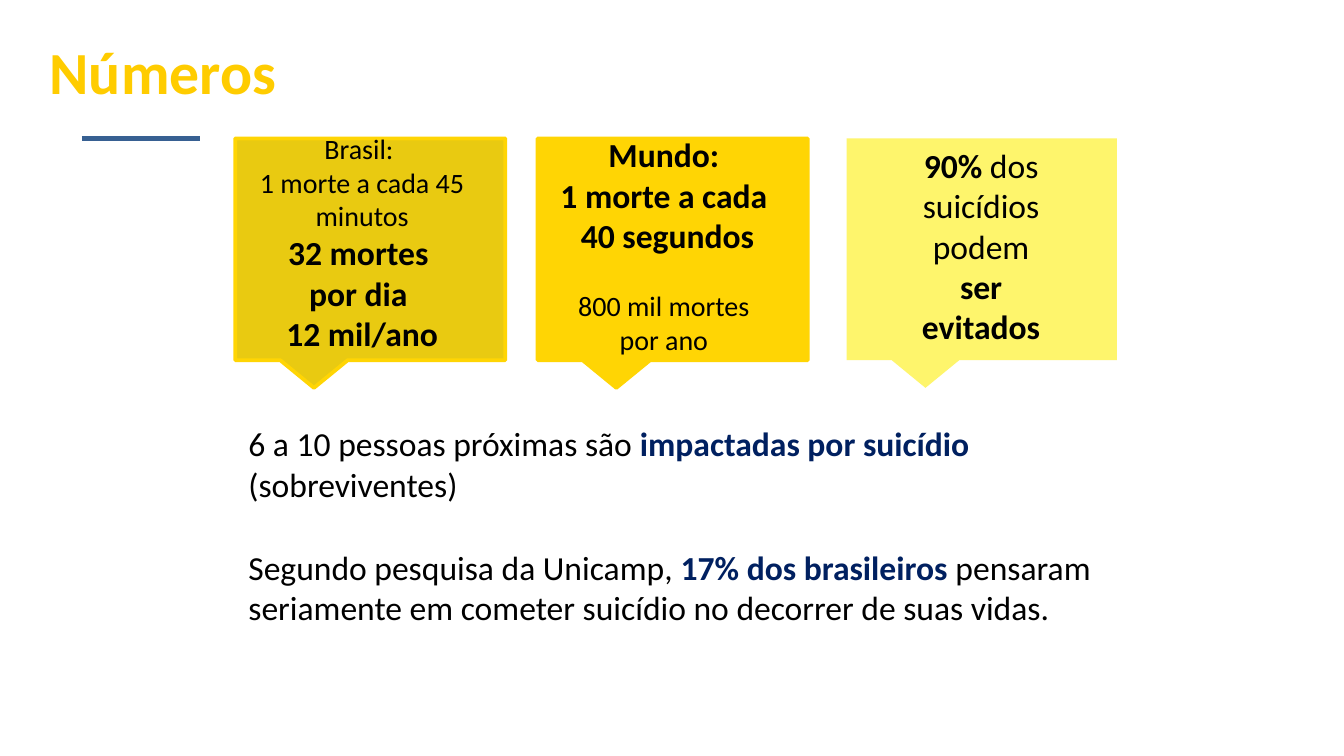
from dataclasses import dataclass
from typing import Optional

from lxml import etree
from pptx import Presentation
from pptx.dml.color import RGBColor
from pptx.enum.shapes import MSO_CONNECTOR, MSO_SHAPE
from pptx.enum.text import MSO_AUTO_SIZE, PP_ALIGN
from pptx.oxml.ns import qn
from pptx.util import Inches, Pt

CALLOUT = MSO_SHAPE.RECTANGULAR_CALLOUT
STRAIGHT = MSO_CONNECTOR.STRAIGHT
FIT_SHAPE = MSO_AUTO_SIZE.SHAPE_TO_FIT_TEXT
CENTER, LEFT = PP_ALIGN.CENTER, PP_ALIGN.LEFT

BLACK, NAVY, BLUE = "000000", "002060", "376092"
GOLD, TITLE_GOLD = "FFD504", "FFCC00"
PAGE_WIDTH = 10
PAGE_HEIGHT = PAGE_WIDTH * 9 / 16
CALLOUT_TOP, CALLOUT_WIDTH, CALLOUT_HEIGHT = 1.03, 2.01, 1.65


@dataclass
class Span:
    text: str
    size: float = 18
    bold: bool = False
    color: str = BLACK


@dataclass
class Para:
    spans: list[Span]
    space_before: float = 0


@dataclass
class TextBlock:
    left: float
    top: float
    width: float
    height: float
    paras: list[Para]
    align: PP_ALIGN = CENTER
    margins: tuple[float, float, float, float] = (0.1, 0.05, 0.1, 0.05)


@dataclass
class Callout:
    left: float
    fill: str
    outline: Optional[str] = None


def rgb(value: str) -> RGBColor:
    return RGBColor.from_string(value)


def line(text: str, size: float = 18, bold: bool = False, space_before: float = 0) -> Para:
    """Return a paragraph with a single span."""
    return Para([Span(text, size, bold)], space_before)


def draw_callout(page, callout: Callout) -> None:
    shape = page.shapes.add_shape(
        CALLOUT, Inches(callout.left), Inches(CALLOUT_TOP),
        Inches(CALLOUT_WIDTH), Inches(CALLOUT_HEIGHT))
    shape.shadow.inherit = False
    shape.fill.solid()
    shape.fill.fore_color.rgb = rgb(callout.fill)
    if callout.outline:
        shape.line.color.rgb = rgb(callout.outline)
        shape.line.width = Pt(2)
    else:
        shape.line.fill.background()


def draw_text(page, block: TextBlock) -> None:
    box = page.shapes.add_textbox(
        Inches(block.left), Inches(block.top), Inches(block.width), Inches(block.height))
    frame = box.text_frame
    left, top, right, bottom = map(Inches, block.margins)
    frame_format = {
        "word_wrap": True, "auto_size": FIT_SHAPE, "margin_left": left,
        "margin_top": top, "margin_right": right, "margin_bottom": bottom,
    }
    for name, value in frame_format.items():
        setattr(frame, name, value)
    for index, para in enumerate(block.paras):
        paragraph = frame.add_paragraph() if index else frame.paragraphs[0]
        paragraph.alignment = block.align
        paragraph.space_before = Pt(para.space_before)
        for span in para.spans:
            run = paragraph.add_run()
            run.text = span.text
            font_format = {"name": "Calibri", "size": Pt(span.size), "bold": span.bold}
            for name, value in font_format.items():
                setattr(run.font, name, value)
            run.font.color.rgb = rgb(span.color)


def draw_rule(page, left: float, right: float, top: float) -> None:
    rule = page.shapes.add_connector(
        STRAIGHT, Inches(left), Inches(top), Inches(right), Inches(top))
    rule.line.color.rgb = rgb(BLUE)
    rule.line.width = Pt(2.81)
    etree.SubElement(rule._element.spPr, qn("a:effectLst"))


CALLOUTS = [
    Callout(1.75, "E9CA11", GOLD),
    Callout(4, GOLD, GOLD),
    Callout(6.3, "FEF56C"),
]

TEXTS = [
    TextBlock(1.63, 0.93, 2.13, 1.77, [
        line("Brasil: ", 15),
        line("1 morte a cada 45 minutos", 15),
        line("32 mortes ", bold=True),
        line("por dia ", bold=True),
        line("12 mil/ano", bold=True),
    ]),
    TextBlock(6.66, 1.03, 1.28, 1.62, [Para([
        Span("90% ", bold=True),
        Span("dos suicídios podem "),
        Span("ser evitados", bold=True),
    ])]),
    TextBlock(1.75, 3.1, 6.56, 0.71, [Para([
        Span("6 a 10 pessoas próximas são "),
        Span("impactadas por suicídio ", bold=True, color=NAVY),
        Span("(sobreviventes)"),
    ])], LEFT),
    TextBlock(1.75, 4.02, 6.5, 0.71, [Para([
        Span("Segundo pesquisa da Unicamp, "),
        Span("17% dos brasileiros ", bold=True, color=NAVY),
        Span("pensaram seriamente em cometer suicídio no decorrer de suas vidas."),
    ])], LEFT),
    TextBlock(4.06, 0.95, 1.76, 1.77, [
        line("Mundo:", bold=True),
        line("1 morte a cada", bold=True),
        line(" 40 segundos", bold=True),
        line("800 mil mortes por ano", 15, space_before=18),
    ]),
    TextBlock(0.36, 0.25, 3.19, 0.55, [
        Para([Span("Números", 32, True, TITLE_GOLD)], space_before=1),
    ], LEFT, (0.01, 0.01, 0, 0)),
]


def main() -> None:
    deck = Presentation()
    deck.slide_width, deck.slide_height = Inches(PAGE_WIDTH), Inches(PAGE_HEIGHT)
    page = deck.slides.add_slide(deck.slide_layouts[6])
    for callout in CALLOUTS:
        draw_callout(page, callout)
    for block in TEXTS:
        draw_text(page, block)
    draw_rule(page, 0.61, 1.49, CALLOUT_TOP)
    deck.save("out.pptx")


if __name__ == "__main__":
    main()
